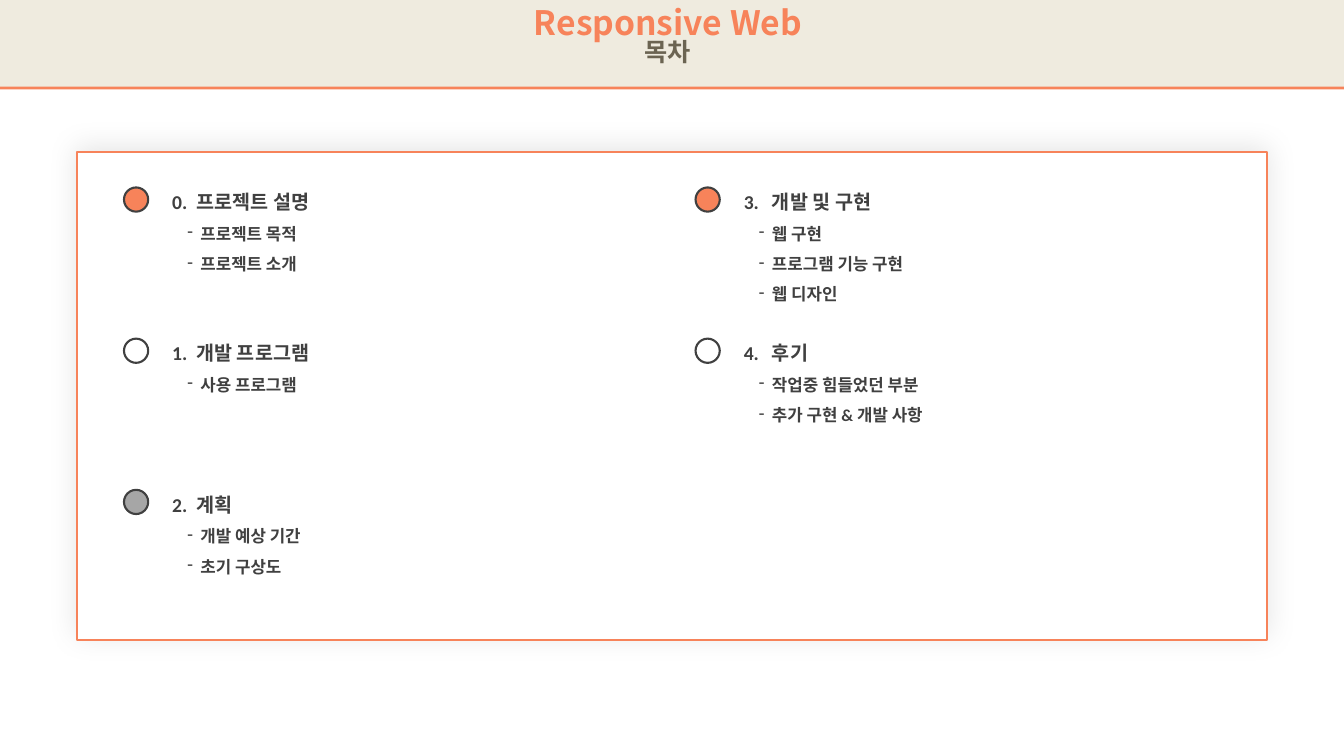
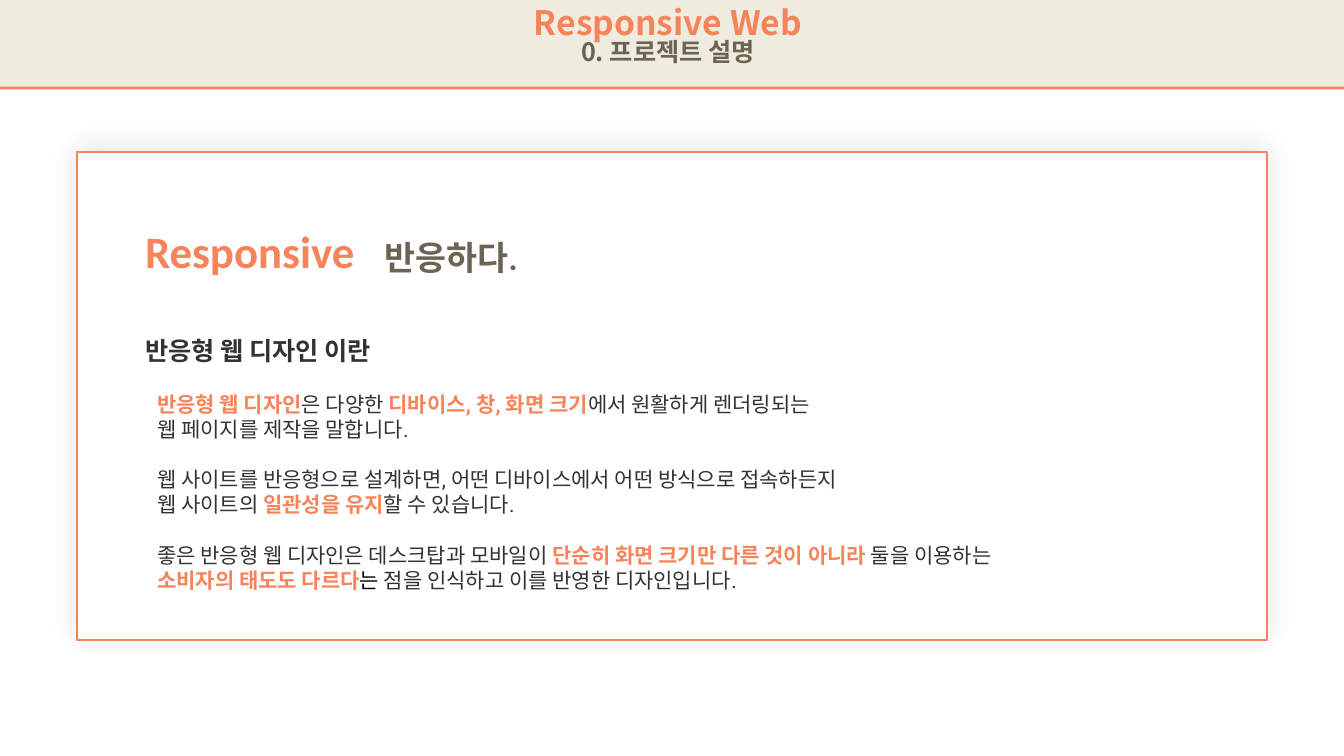
import pptx
import pptx.dml.color
import pptx.enum.shapes
import pptx.enum.text
import pptx.oxml
import pptx.oxml.ns
import pptx.util
from dataclasses import dataclass

Inches = pptx.util.Inches
Pt = pptx.util.Pt
MSO_SHAPE = pptx.enum.shapes.MSO_SHAPE


@dataclass(frozen=True)
class Theme:
    # Colours
    accent: str = "F7835A"
    band: str = "EFEBDF"
    olive: str = "6B6452"
    dark: str = "404040"
    body: str = "323232"
    black: str = "000000"
    white: str = "FFFFFF"
    grey: str = "A6A6A6"
    # Fonts
    title_font: str = "Noto Sans CJK KR"
    list_font: str = "Calibri"
    body_font: str = "Roboto"
    # Type sizes
    word_size: int = 32
    title_size: int = 24
    heading_size: int = 18
    body_size: int = 15
    item_size: int = 14
    detail_size: int = 12


THEME = Theme()
WIDTH, HEIGHT = 13.33, 7.5
BAND_HEIGHT = 0.86
CARD = (0.76, 1.51, 11.81, 4.84)

# Each item: number, heading, details, dot colour
CONTENTS = [
    [
        ("0.", "프로젝트 설명", ["프로젝트 목적", "프로젝트 소개"], THEME.accent),
        ("1.", "개발 프로그램", ["사용 프로그램"], THEME.white),
        ("2.", "계획", ["개발 예상 기간", "초기 구상도"], THEME.grey),
    ],
    [
        ("3.", "개발 및 구현", ["웹 구현", "프로그램 기능 구현", "웹 디자인"], THEME.accent),
        ("4.", "후기", ["작업중 힘들었던 부분", "추가 구현 & 개발 사항"], THEME.white),
    ],
]

# Paragraphs of lines of (text, colour); accented words are bold
EXPLANATION = [
    [
        [("반응형 웹 디자인", THEME.accent), ("은 다양한 ", THEME.body),
         ("디바이스, 창, 화면 크기", THEME.accent),
         ("에서 원활하게 렌더링되는", THEME.body)],
        [("웹 페이지를 제작을 말합니다.", THEME.body)],
    ],
    [
        [("웹 사이트를 반응형으로 설계하면, 어떤 디바이스에서 어떤 방식으로 접속하든지",
          THEME.body)],
        [("웹 사이트의 ", THEME.body), ("일관성을 유지", THEME.accent),
         ("할 수 있습니다.", THEME.body)],
    ],
    [
        [("좋은 반응형 웹 디자인은 데스크탑과 모바일이 ", THEME.body),
         ("단순히 화면 크기만 다른 것이 아니라 ", THEME.accent),
         ("둘을 이용하는", THEME.body)],
        [("소비자의 태도도 다르다", THEME.accent), ("는 ", THEME.black),
         ("점을 인식하고 이를 반영한 디자인입니다.", THEME.body)],
    ],
]


# Shared helpers
def rgb(colour):
    return pptx.dml.color.RGBColor.from_string(colour)


def add_run(paragraph, text, font, size, colour, bold=True):
    run = paragraph.add_run()
    run.text = text
    run.font.name = font
    run.font.size = Pt(size)
    run.font.bold = bold
    run.font.color.rgb = rgb(colour)


def add_text_box(slide, left, top, width, height, wrap=True):
    shape = slide.shapes.add_textbox(*map(Inches, (left, top, width, height)))
    shape.text_frame.word_wrap = wrap
    return shape.text_frame


def add_filled_shape(slide, kind, box, fill, line):
    shape = slide.shapes.add_shape(kind, *map(Inches, box))
    shape.shadow.inherit = False
    shape.fill.solid()
    shape.fill.fore_color.rgb = rgb(fill)
    shape.line.color.rgb = rgb(line)
    shape.line.width = Pt(1.5)
    return shape


def add_shadow(shape, colour, opacity, blur, distance, angle):
    shape.shadow.inherit = False
    effects = shape._element.spPr.find(pptx.oxml.ns.qn("a:effectLst"))
    effects.append(pptx.oxml.parse_xml(
        f'<a:outerShdw {pptx.oxml.ns.nsdecls("a")} blurRad="{Pt(blur)}" '
        f'dist="{Pt(distance)}" dir="{angle * 60000}" algn="ctr" rotWithShape="0">'
        f'<a:srgbClr val="{colour}"><a:alpha val="{opacity * 1000}"/></a:srgbClr>'
        '</a:outerShdw>'))


def set_indent(paragraph, left, first=0, bullet=None):
    properties = paragraph._p.get_or_add_pPr()
    properties.set("marL", str(Inches(left)))
    properties.set("indent", str(Inches(first)))
    if bullet:
        properties.append(pptx.oxml.parse_xml(
            f'<a:buChar {pptx.oxml.ns.nsdecls("a")} char="{bullet}"/>'))


# Title band and card, the same on every slide
def add_framed_slide(presentation, subtitle):
    slide = presentation.slides.add_slide(presentation.slide_layouts[5])
    title = slide.shapes.title
    title.left, title.top = 0, 0
    title.width, title.height = Inches(WIDTH), Inches(BAND_HEIGHT)
    title.fill.solid()
    title.fill.fore_color.rgb = rgb(THEME.band)
    add_shadow(title, THEME.accent, 100, 0, 2, 90)
    frame = title.text_frame
    frame.auto_size = pptx.enum.text.MSO_AUTO_SIZE.NONE
    frame.vertical_anchor = pptx.enum.text.MSO_ANCHOR.TOP
    frame.margin_top, frame.margin_right = Inches(0.1), Inches(0.18)
    lines = [("Responsive Web", THEME.title_size, THEME.accent),
             (subtitle, THEME.heading_size, THEME.olive)]
    for index, (text, size, colour) in enumerate(lines):
        paragraph = frame.add_paragraph() if index else frame.paragraphs[0]
        paragraph.alignment = pptx.enum.text.PP_ALIGN.CENTER
        paragraph.line_spacing = 0.8
        add_run(paragraph, text, THEME.title_font, size, colour)
    card = add_filled_shape(slide, MSO_SHAPE.RECTANGLE, CARD, THEME.white, THEME.accent)
    add_shadow(card, THEME.black, 10, 20, 3, 270)
    return slide


# One entry of the contents, placed from its top left corner
def add_item(slide, left, top, number_width, item):
    number, heading, details, dot_colour = item
    add_filled_shape(slide, MSO_SHAPE.OVAL, (left, top + 0.14, 0.24, 0.24),
                     dot_colour, THEME.dark)
    frame = add_text_box(slide, left + 0.38, top, 2.87, 0.42 + 0.3 * len(details))
    paragraph = frame.paragraphs[0]
    paragraph.line_spacing = 1.5
    set_indent(paragraph, number_width, -number_width)
    add_run(paragraph, f"{number}\t{heading}", THEME.list_font,
            THEME.item_size, THEME.dark)
    for detail in details:
        paragraph = frame.add_paragraph()
        paragraph.line_spacing = 1.5
        set_indent(paragraph, 0.28, -0.13, "-")
        add_run(paragraph, detail, THEME.list_font, THEME.detail_size, THEME.dark)


def build_contents(presentation):
    slide = add_framed_slide(presentation, "목차")
    left, top, width, height = CARD
    for column, items in enumerate(CONTENTS):
        for row, item in enumerate(items):
            add_item(slide, left + 0.47 + column * width * 0.48, top + 0.21 + row * 1.5,
                     0.24 + column * 0.04, item)


# Key word, its meaning and the explanation, placed inside the card
def build_description(presentation):
    slide = add_framed_slide(presentation, "0. 프로젝트 설명")
    left, top, width, height = CARD
    words = [("Responsive", 0.58, 0.66, 2.76, 0.64, THEME.word_size, THEME.accent),
             ("반응하다.", 2.96, 0.79, 1.76, 0.5, THEME.title_size, THEME.olive)]
    for text, across, down, box_width, box_height, size, colour in words:
        frame = add_text_box(slide, left + across, top + down, box_width, box_height, False)
        add_run(frame.paragraphs[0], text, THEME.list_font, size, colour)

    frame = add_text_box(slide, left + 0.58, top + 1.77, 10.77, 2.69)
    add_run(frame.paragraphs[0], "반응형 웹 디자인 이란", THEME.body_font,
            THEME.heading_size, THEME.body)
    for lines in EXPLANATION:
        paragraph = frame.add_paragraph()
        paragraph.space_before = Pt(18)
        set_indent(paragraph, 0.12)
        for index, line in enumerate(lines):
            if index:
                paragraph.add_line_break()
            for text, colour in line:
                add_run(paragraph, text, THEME.body_font, THEME.body_size, colour,
                        colour == THEME.accent)


def main():
    presentation = pptx.Presentation()
    presentation.slide_width = Inches(WIDTH)
    presentation.slide_height = Inches(HEIGHT)
    build_contents(presentation)
    build_description(presentation)
    presentation.save("out.pptx")


if __name__ == "__main__":
    main()
